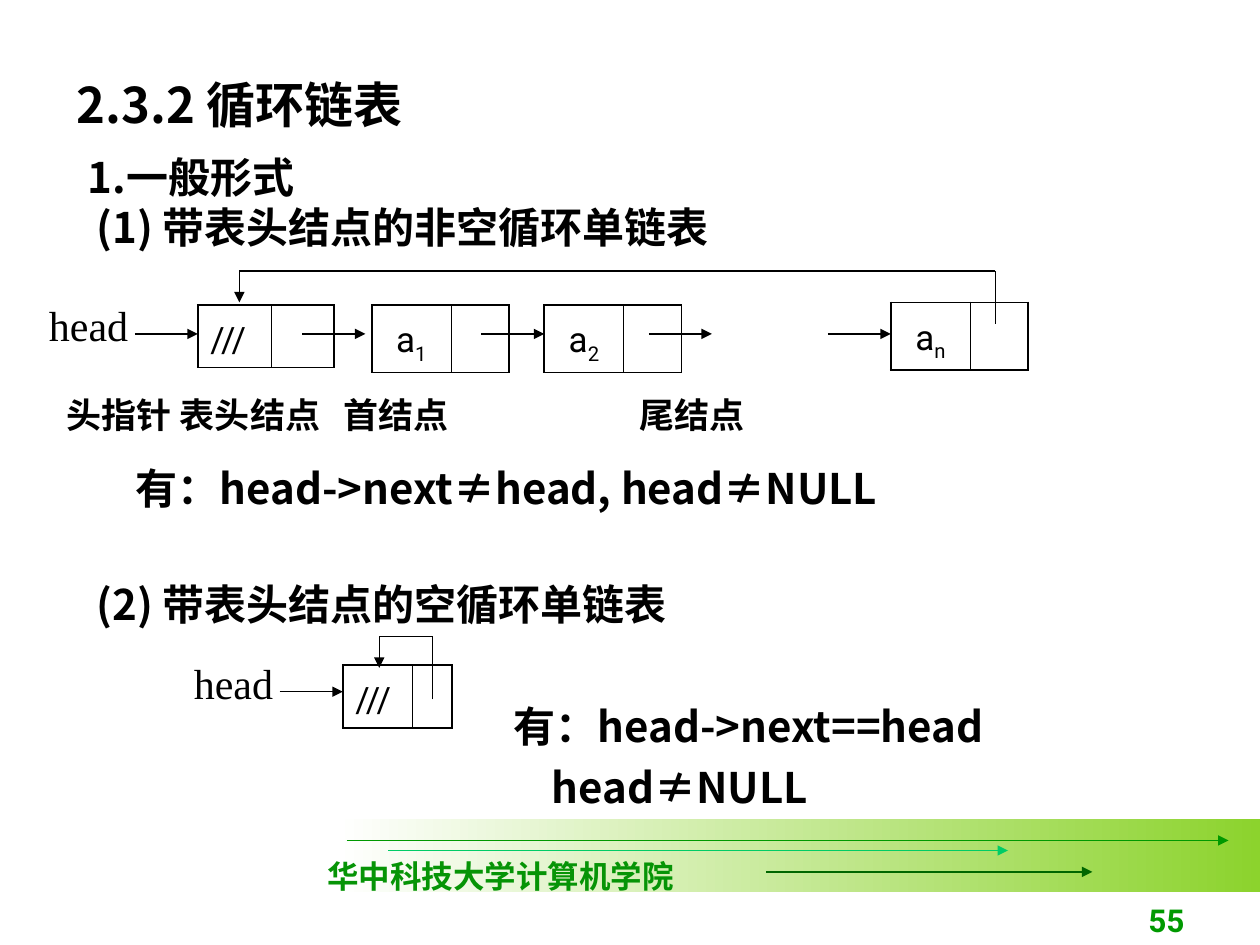
from itertools import pairwise

from lxml.etree import SubElement
from pptx import Presentation
from pptx.dml.color import RGBColor
from pptx.enum.shapes import MSO_CONNECTOR, MSO_SHAPE
from pptx.enum.text import MSO_ANCHOR, MSO_AUTO_SIZE, PP_ALIGN
from pptx.oxml.ns import qn
from pptx.util import Inches, Pt

COLORS = {
    "black": "000000",
    "white": "FFFFFF",
    "lime": "8CD32D",
    "green": "009900",
    "mint": "00CC66",
    "forest": "006600",
    "school": "069406",
}
CJK = "Noto Sans CJK SC"
LATIN = "Roboto"
SERIF = "Times New Roman"


def color(name):
    return RGBColor.from_string(COLORS[name])


def style_runs(para, size, font, name="black", bold=False):
    for span in para.runs:
        span.font.size = Pt(size)
        span.font.name = font
        span.font.bold = bold
        span.font.color.rgb = color(name)
        SubElement(span.font._element, qn("a:ea"), typeface=CJK)


def write_text(shape, lines, size, font, name="black", bold=False,
               align=PP_ALIGN.LEFT, gap=0, indents=(), anchor=MSO_ANCHOR.TOP):
    frame = shape.text_frame
    frame.text = "\n".join(lines)
    frame.word_wrap = True
    frame.auto_size = MSO_AUTO_SIZE.NONE
    frame.vertical_anchor = anchor
    for index, para in enumerate(frame.paragraphs):
        para.alignment = align
        para.space_before = Pt(gap if index else 0)
        if font == CJK:
            para.line_spacing = Pt(round(size * 1.2, 1))
        if indents:
            para._p.get_or_add_pPr().set("marL", str(Inches(indents[index])))
        style_runs(para, size, font, name, bold)


def add_text(page, place, lines, size, font, **options):
    box = page.shapes.add_textbox(*map(Inches, place))
    write_text(box, lines, size, font, **options)
    return box


def add_title(page, text):
    title = page.shapes.title
    title.left, title.top, title.width, title.height = map(
        Inches, (0.51, 0.54, 8.43, 0.57))
    write_text(title, [text], 28, CJK, bold=True)


def add_line(page, start, end, arrow=True, name="black"):
    line = page.shapes.add_connector(
        MSO_CONNECTOR.STRAIGHT, *map(Inches, (*start, *end)))
    line.line.color.rgb = color(name)
    line.line.width = Pt(0.75)
    if arrow:
        SubElement(line.line._get_or_add_ln(), qn("a:tailEnd"), type="triangle")
    SubElement(line._element.spPr, qn("a:effectLst"))


def add_path(page, points):
    """Join the points with lines; only the last one has an arrowhead."""
    steps = list(pairwise(points))
    for step in steps:
        add_line(page, *step, arrow=step is steps[-1])


def set_borders(cell, left, right):
    properties = cell._tc.get_or_add_tcPr()
    for side, width in zip("LRTB", (left, right, 1.08, 1.08)):
        border = SubElement(properties, qn(f"a:ln{side}"), w=str(Pt(width)))
        fill = SubElement(border, qn("a:solidFill"))
        SubElement(fill, qn("a:srgbClr"), val=COLORS["black"])


def add_node(page, left, top, widths, text, subscript=""):
    """A list node: a data cell and an empty pointer cell."""
    frame = page.shapes.add_table(
        1, 2, *map(Inches, (left, top, sum(widths), 0.43)))
    table = frame.table
    table.first_row = table.horz_banding = False
    for column, width in zip(table.columns, widths):
        column.width = Inches(width)
    data, pointer = table.cell(0, 0), table.cell(0, 1)
    set_borders(data, 1.08, 0.45)
    set_borders(pointer, 0.45, 1.08)
    for cell in (data, pointer):
        cell.fill.background()
    data.margin_top = Inches(0.12)
    para = data.text_frame.paragraphs[0]
    para.text = text
    if subscript:
        para.alignment = PP_ALIGN.CENTER
        para.add_run().text = subscript
    style_runs(para, 20, LATIN)
    if subscript:
        para.runs[1].font._element.set("baseline", "-25000")


def add_node_labels(page):
    box = add_text(page, (0.43, 3.07, 8.58, 0.44),
                   ["头指针\t表头结点\t首结点\t尾结点"], 20, CJK, bold=True)
    properties = box.text_frame.paragraphs[0]._p.get_or_add_pPr()
    tabs = SubElement(properties, qn("a:tabLst"))
    for position in (0.9, 2.2, 4.55):
        SubElement(tabs, qn("a:tab"), pos=str(Inches(position)), algn="l")


def add_footer(page):
    band = page.shapes.add_shape(
        MSO_SHAPE.RECTANGLE, *map(Inches, (2.67, 6.5, 7.33, 0.58)))
    band.shadow.inherit = False
    band.line.fill.background()
    band.fill.gradient()
    band.fill.gradient_angle = 0
    for stop, name in zip(band.fill.gradient_stops, ("white", "lime")):
        stop.color.rgb = color(name)
        stop.position = 0 if name == "white" else 1
    for left, right, y, name in ((2.75, 9.75, 6.67, "green"),
                                 (3.08, 8, 6.75, "mint"),
                                 (6.08, 8.67, 6.92, "forest")):
        add_line(page, (left, y), (right, y), name=name)
    add_text(page, (2.5, 6.75, 2.95, 0.4), ["华中科技大学计算机学院"],
             18, SERIF, name="school", bold=True)
    add_text(page, (7.42, 7, 2.08, 0.5), ["55"], 18, LATIN, name="green",
             bold=True, align=PP_ALIGN.RIGHT, anchor=MSO_ANCHOR.BOTTOM)


def add_full_list(page):
    add_text(page, (0.29, 2.33, 1.08, 0.5), ["head"], 24, SERIF)
    add_node(page, 1.57, 2.42, (0.58, 0.5), "///")
    for left, top, subscript in ((2.95, 2.42, "1"), (4.32, 2.42, "2"),
                                 (7.07, 2.4, "n")):
        add_node(page, left, top, (0.63, 0.46), "a", subscript)
    for left in (1.07, 2.4, 3.82, 5.15, 6.57):
        add_line(page, (left, 2.65), (left + 0.5, 2.65))
    add_path(page, [(7.9, 2.57), (7.9, 2.15), (1.9, 2.15), (1.9, 2.4)])
    add_node_labels(page)
    add_text(page, (0.98, 3.62, 6.77, 0.5),
             ["有：head->next≠head, head≠NULL"], 24, CJK, bold=True)


def add_empty_list(page):
    add_text(page, (0.67, 4.54, 7.24, 0.5),
             ["(2) 带表头结点的空循环单链表"], 24, CJK, bold=True)
    add_text(page, (1.44, 5.17, 1.08, 0.5), ["head"], 24, SERIF)
    add_node(page, 2.72, 5.28, (0.55, 0.32), "///")
    add_line(page, (2.22, 5.49), (2.72, 5.49))
    add_path(page, [(3.43, 5.55), (3.43, 5.05), (3.01, 5.05), (3.01, 5.3)])
    add_text(page, (3.98, 5.51, 5.67, 0.99),
             ["有：head->next==head", "head≠NULL"], 24, CJK,
             bold=True, gap=6, indents=(0, 0.3))


def main():
    deck = Presentation()
    deck.slide_width, deck.slide_height = Inches(10), Inches(7.5)
    page = deck.slides.add_slide(deck.slide_layouts[5])
    add_footer(page)
    add_title(page, "2.3.2 循环链表")
    add_text(page, (0.51, 1.15, 8.43, 0.9),
             ["1.一般形式", "(1) 带表头结点的非空循环单链表"], 24, CJK,
             bold=True, indents=(0.09, 0.16))
    add_full_list(page)
    add_empty_list(page)
    deck.save("out.pptx")


if __name__ == "__main__":
    main()
